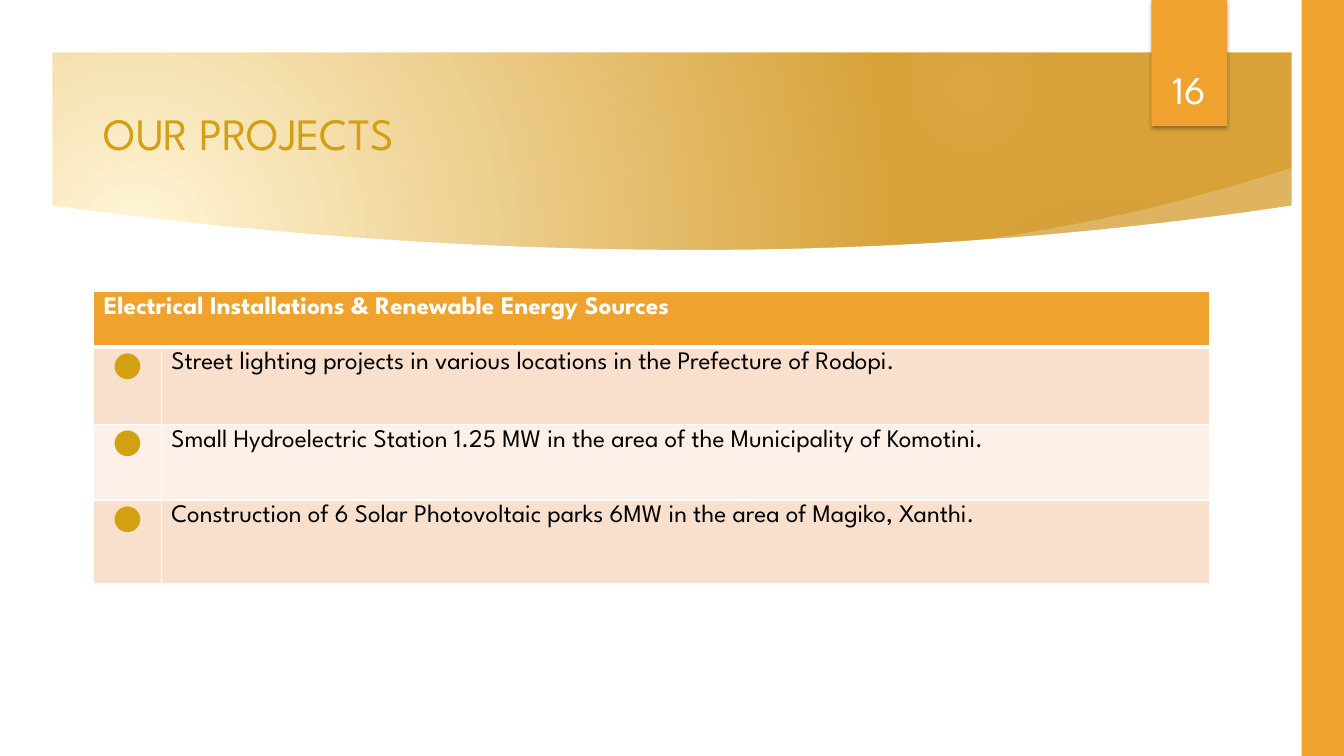
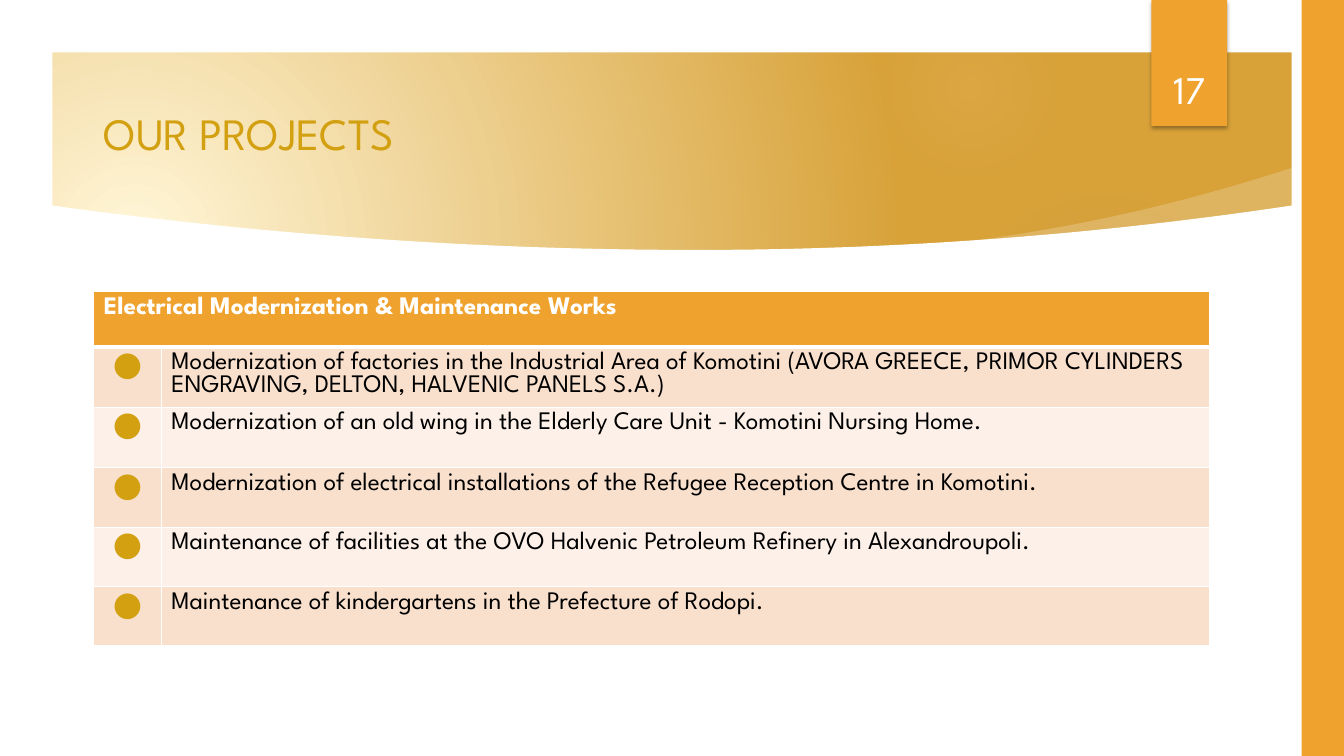
from lxml.etree import SubElement
from pptx import Presentation
from pptx.dml.color import RGBColor
from pptx.enum.shapes import MSO_SHAPE
from pptx.enum.text import MSO_ANCHOR, MSO_AUTO_SIZE, PP_ALIGN
from pptx.oxml.ns import qn
from pptx.util import Inches, Pt

COLORS = {
    "orange": "F0A22E", "gold": "D2A010", "cream": "FFF6D8", "amber": "D8A239",
    "peach": "F9E0CD", "pale": "FCF0E8", "white": "FFFFFF", "black": "000000",
    "warm_glow": "F6C782", "dim_glow": "A19574",
}
FONT = "League Spartan"
WIDTH, HEIGHT = 13.33, 7.5
BAND = (0.52, 0.52, 12.29, 1.52)  # straight part, above the curved lower edge
BAND_DEPTH = 0.44
TITLE_BOX = (0.93, 0.2, 11.07, 1.43)
TABLE_AT = (0.93, 2.89)
COLUMNS = (0.67, 10.4)
HEADER_HEIGHT = 0.55

PROJECTS = [
    {
        "number": 16,
        "heading": "Electrical Installations & Renewable Energy Sources",
        "items": [
            "Street lighting projects in various locations in the Prefecture of Rodopi.",
            "Small Hydroelectric Station 1.25 MW in the area of the Municipality of Komotini.",
            "Construction of 6 Solar Photovoltaic parks 6MW in the area of Magiko, Xanthi.",
        ],
        "heights": [0.77, 0.75, 0.83],
    },
    {
        "number": 17,
        "heading": "Electrical Modernization & Maintenance Works",
        "items": [
            "Modernization of factories in the Industrial Area of Komotini (AVORA GREECE, "
            "PRIMOR CYLINDERS ENGRAVING, DELTON, HALVENIC PANELS S.A.)",
            "Modernization of an old wing in the Elderly Care Unit - Komotini Nursing Home.",
            "Modernization of electrical installations of the Refugee Reception Centre in Komotini.",
            "Maintenance of facilities at the OVO Halvenic Petroleum Refinery in Alexandroupoli.",
            "Maintenance of kindergartens in the Prefecture of Rodopi.",
        ],
        "heights": [0.6, 0.6, 0.59, 0.59, 0.59],
    },
]


def rgb(name):
    return RGBColor.from_string(COLORS[name])


def box_lengths(box):
    return [Inches(length) for length in box]


def add_color(parent, name, alpha=100):
    color = SubElement(parent, qn("a:srgbClr"), val=COLORS[name])
    if alpha < 100:
        SubElement(color, qn("a:alpha"), val=str(alpha * 1000))


def set_radial_gradient(owner, fill, stops, focus):
    """Give the fill (position, colour, alpha) stops spreading from the focus."""
    fill.gradient()
    gradient = next(owner.element.iter(qn("a:gradFill")))
    for child in list(gradient):
        gradient.remove(child)
    stop_list = SubElement(gradient, qn("a:gsLst"))
    for position, name, alpha in stops:
        stop = SubElement(stop_list, qn("a:gs"), pos=str(position * 1000))
        add_color(stop, name, alpha)
    circle = SubElement(gradient, qn("a:path"), {"path": "circle"})
    edges = {side: str(value * 1000) for side, value in zip("ltrb", focus)}
    SubElement(circle, qn("a:fillToRect"), edges)


def style_text(paragraph, size, color, bold=False, align=PP_ALIGN.LEFT):
    paragraph.alignment = align
    for run in paragraph.runs:
        run.font.name = FONT
        run.font.size = Pt(size)
        run.font.bold = bold
        run.font.color.rgb = rgb(color)


def finish_shape(shape, color=None):
    shape.shadow.inherit = False
    shape.line.fill.background()
    if color:
        shape.fill.solid()
        shape.fill.fore_color.rgb = rgb(color)
    return shape


def add_glow(slide, box, color, stops):
    glow = finish_shape(slide.shapes.add_shape(MSO_SHAPE.OVAL, *box_lengths(box)))
    stops = [(position, color, alpha) for position, alpha in stops]
    set_radial_gradient(glow, glow.fill, stops, (50, 50, 50, 50))


def add_outline(slide, contours, color):
    """Draw closed contours, in inches, as one filled shape."""
    contours = [[(Inches(x), Inches(y)) for x, y in contour] for contour in contours]
    builder = slide.shapes.build_freeform(*contours[0][0])
    for index, contour in enumerate(contours):
        if index:
            builder.move_to(*contour[0])
        builder.add_line_segments(contour[1:], close=True)
    return finish_shape(builder.convert_to_shape(), color)


def add_sheen(slide, box):
    """Lighten the lower right corner of the band under a rising curve."""
    left, top, width, height = box
    steps = [step / 20 for step in range(21)]
    curve = [(left + width * t, top + height * (1 - (t + t * t) / 2)) for t in steps]
    right = left + width
    sheen = add_outline(slide, [curve + [(right, top + 0.5), (left, top + 0.85)]], "white")
    fill_color = next(sheen.element.spPr.iter(qn("a:srgbClr")))
    SubElement(fill_color, qn("a:alpha"), val="20000")


def add_frame(slide, box):
    """Cover the slide in white except for a band with a bowed lower edge."""
    left, top, width, height = box
    right, bottom = left + width, top + height
    lowest = left + width * 0.52
    curve = []
    for step in range(61):
        x = left + width * step / 60
        reach = (lowest - left) if x < lowest else (right - lowest)
        curve.append((x, bottom + BAND_DEPTH * (1 - ((x - lowest) / reach) ** 2)))
    page = [(0, 0), (WIDTH, 0), (WIDTH, HEIGHT), (0, HEIGHT)]
    add_outline(slide, [page, [(left, top)] + curve + [(right, top)]], "white")


def add_number_tag(slide, box, number):
    tag = slide.shapes.add_shape(MSO_SHAPE.RECTANGLE, *box_lengths(box))
    finish_shape(tag, "orange")
    effects = tag.element.spPr.find(qn("a:effectLst"))
    shadow = SubElement(effects, qn("a:outerShdw"), blurRad=str(Pt(3.1)),
                        dist=str(Pt(1.8)), dir="5400000", rotWithShape="0")
    add_color(shadow, "black", 35)
    frame = tag.text_frame
    frame.margin_left = frame.margin_right = 0
    frame.margin_bottom = Inches(0.14)
    frame.vertical_anchor = MSO_ANCHOR.BOTTOM
    frame.text = str(number)
    style_text(frame.paragraphs[0], 28, "white", align=PP_ALIGN.CENTER)


def add_side_bar(slide, box):
    bar = slide.shapes.add_shape(MSO_SHAPE.RECTANGLE, *box_lengths(box))
    finish_shape(bar, "orange")


def add_backdrop(slide, number):
    add_glow(slide, (9.41, 1.83, 3.08, 3.08), "dim_glow", [(0, 7), (36, 6), (69, 0)])
    add_glow(slide, (8.75, 0, 1.75, 1.75), "warm_glow", [(0, 14), (36, 7), (73, 0)])
    add_sheen(slide, (9.3, 1.66, 3.53, 0.77))
    add_frame(slide, BAND)
    add_number_tag(slide, (11.42, 0, 0.75, 1.25), number)
    add_side_bar(slide, (12.91, 0, 0.42, HEIGHT))


def place_title(slide, box, text):
    title = slide.shapes.title
    title.left, title.top, title.width, title.height = box_lengths(box)
    frame = title.text_frame
    frame.text = text
    frame.auto_size = MSO_AUTO_SIZE.NONE
    frame.vertical_anchor = MSO_ANCHOR.BOTTOM
    style_text(frame.paragraphs[0], 32, "gold")
    slide.shapes.element.append(title.element)  # bring in front of the backdrop


def style_cell(cell, fill, bottom_width=1):
    cell.fill.solid()
    cell.fill.fore_color.rgb = rgb(fill)
    cell.vertical_anchor = MSO_ANCHOR.TOP
    properties = cell._tc.get_or_add_tcPr()
    for index, side in enumerate("LRTB"):
        width = bottom_width if side == "B" else 1
        border = SubElement(properties, qn(f"a:ln{side}"), w=str(Pt(width)))
        add_color(SubElement(border, qn("a:solidFill")), "white")
        properties.insert(index, border)


def write_cell(cell, text, size, color, **style):
    cell.text = text
    style_text(cell.text_frame.paragraphs[0], size, color, **style)


def add_project_table(slide, at, heading, items, heights):
    heights = [HEADER_HEIGHT] + heights
    box = (*at, sum(COLUMNS), sum(heights))
    table = slide.shapes.add_table(len(heights), len(COLUMNS), *box_lengths(box)).table
    table.first_row = table.horz_banding = False
    for column, width in zip(table.columns, COLUMNS):
        column.width = Inches(width)
    for row, height in zip(table.rows, heights):
        row.height = Inches(height)

    table.cell(0, 0).merge(table.cell(0, 1))
    write_cell(table.cell(0, 0), heading, 18, "white", bold=True)
    for cell in table.rows[0].cells:
        style_cell(cell, "orange", bottom_width=3)
    for index, item in enumerate(items, start=1):
        marker, project = table.rows[index].cells
        write_cell(marker, "●", 24, "gold", align=PP_ALIGN.CENTER)
        write_cell(project, item, 18, "black")
        for cell in (marker, project):
            style_cell(cell, "peach" if index % 2 else "pale")


def add_project_slide(prs, number, heading, items, heights):
    slide = prs.slides.add_slide(prs.slide_layouts[5])
    add_backdrop(slide, number)
    place_title(slide, TITLE_BOX, "OUR PROJECTS")
    add_project_table(slide, TABLE_AT, heading, items, heights)


def main():
    prs = Presentation()
    prs.slide_width, prs.slide_height = Inches(WIDTH), Inches(HEIGHT)
    master = prs.slide_master
    set_radial_gradient(master, master.background.fill,
                        [(0, "cream", 100), (100, "amber", 100)], (45, 65, 125, 100))
    for project in PROJECTS:
        add_project_slide(prs, **project)
    prs.save("out.pptx")


if __name__ == "__main__":
    main()
